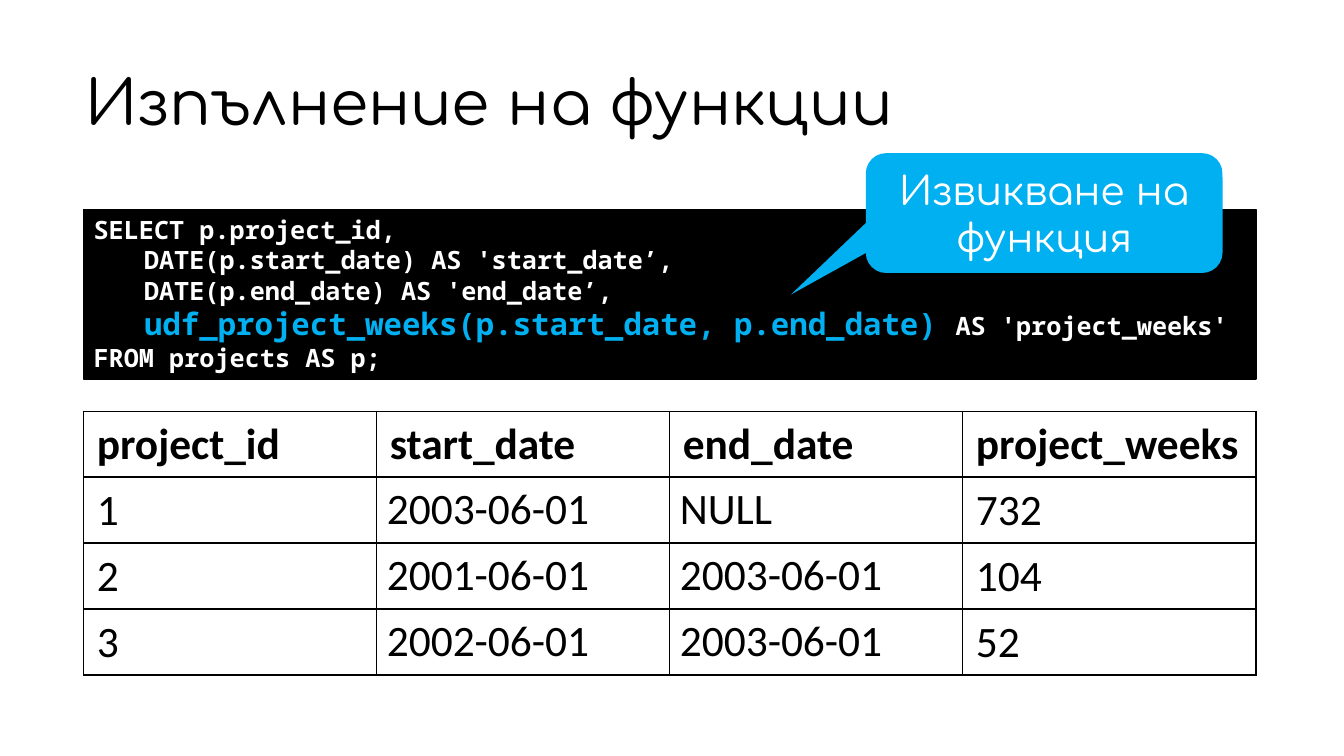
import pptx
import pptx.dml.color
import pptx.enum.shapes
import pptx.enum.text
import pptx.oxml
import pptx.oxml.ns
import pptx.util

Cm = pptx.util.Cm
Pt = pptx.util.Pt
ALIGN = pptx.enum.text.PP_ALIGN
ANCHOR = pptx.enum.text.MSO_ANCHOR
SHAPE = pptx.enum.shapes.MSO_SHAPE

COLORS = {"black": "000000", "white": "FFFFFF", "accent": "00B0F0"}
HEADING_FONT, CODE_FONT, TABLE_FONT = "Comfortaa", "Noto Sans Mono", "Calibri"
LEFT, WIDTH = 2.11, 29.54

CODE = [
    [("SELECT p.project_id,", {})],
    [("\tDATE(p.start_date) AS 'start_date’,", {})],
    [("\tDATE(p.end_date) AS 'end_date’,", {})],
    [("\tudf_project_weeks(p.start_date, p.end_date) ", {"size": 22, "color": "accent"}),
     ("AS 'project_weeks'", {})],
    [("FROM projects AS p;", {})],
]
ROWS = [
    ["project_id", "start_date", "end_date", "project_weeks"],
    ["1", "2003-06-01", "NULL", "732"],
    ["2", "2001-06-01", "2003-06-01", "104"],
    ["3", "2002-06-01", "2003-06-01", "52"],
]


def rgb(name):
    return pptx.dml.color.RGBColor.from_string(COLORS[name])


def add_text(p, text, font, size, color="black", bold=False, align=ALIGN.LEFT):
    p.alignment = align
    r = p.add_run()
    r.text = text
    r.font.name, r.font.size, r.font.bold = font, Pt(size), bold
    r.font.color.rgb = rgb(color)


def add_box(slide, kind, box, color):
    sp = slide.shapes.add_shape(kind, *map(Cm, box))
    sp.shadow.inherit = False
    sp.fill.solid()
    sp.fill.fore_color.rgb = rgb(color)
    sp.text_frame.word_wrap = True
    return sp


def add_title(slide, box):
    title = slide.shapes.title
    title.left, title.top, title.width, title.height = map(Cm, box)
    tf = title.text_frame
    tf.vertical_anchor = ANCHOR.MIDDLE
    p = tf.paragraphs[0]
    p.line_spacing = 0.9
    add_text(p, "Изпълнение на функции", HEADING_FONT, 44)


def add_tab_stop(p, position):
    tabs = pptx.oxml.parse_xml(
        f'<a:tabLst {pptx.oxml.ns.nsdecls("a")}><a:tab pos="{position}" algn="l"/></a:tabLst>')
    p._p.get_or_add_pPr().append(tabs)


def add_code(slide, box):
    sp = add_box(slide, SHAPE.RECTANGLE, box, "black")
    sp.line.color.rgb = rgb("black")
    sp.line.width = Pt(1)
    tf = sp.text_frame
    tf.vertical_anchor = ANCHOR.TOP
    tf.auto_size = pptx.enum.text.MSO_AUTO_SIZE.SHAPE_TO_FIT_TEXT
    for i, parts in enumerate(CODE):
        p = tf.add_paragraph() if i else tf.paragraphs[0]
        add_tab_stop(p, Cm(1.27))
        for text, extra in parts:
            add_text(p, text, CODE_FONT, **{"size": 18, "color": "white", "bold": True, **extra})


def add_borders(cell):
    tcPr = cell._tc.get_or_add_tcPr()
    for i, side in enumerate("LRTB"):
        tcPr.insert(i, pptx.oxml.parse_xml(
            f'<a:ln{side} {pptx.oxml.ns.nsdecls("a")} w="{Pt(1)}"><a:solidFill>'
            f'<a:srgbClr val="{COLORS["black"]}"/></a:solidFill></a:ln{side}>'))


def add_result(slide, box):
    left, top, width, height = box
    table = slide.shapes.add_table(len(ROWS), len(ROWS[0]), *map(Cm, box)).table
    table.first_row = table.horz_banding = False
    for column in table.columns:
        column.width = Cm(width / len(ROWS[0]))
    for i, values in enumerate(ROWS):
        table.rows[i].height = Cm(height / len(ROWS))
        for j, value in enumerate(values):
            cell = table.cell(i, j)
            cell.fill.background()
            add_borders(cell)
            if i and j in (1, 2):
                cell.vertical_anchor = ANCHOR.MIDDLE
            else:
                cell.margin_left = cell.margin_right = Cm(0.33)
                cell.margin_top = cell.margin_bottom = Cm(0.17)
            add_text(cell.text_frame.paragraphs[0], value, TABLE_FONT, 31, bold=i == 0)


def add_callout(slide, box):
    sp = add_box(slide, SHAPE.ROUNDED_RECTANGULAR_CALLOUT, box, "accent")
    sp.line.fill.background()
    for i, value in enumerate((-0.71, 0.68, 0.17)):
        sp.adjustments[i] = value
    tf = sp.text_frame
    tf.vertical_anchor = ANCHOR.MIDDLE
    add_text(tf.paragraphs[0], "Извикване на функция", HEADING_FONT, 28, "white",
             align=ALIGN.CENTER)


def main():
    prs = pptx.Presentation()
    prs.slide_width, prs.slide_height = Cm(33.87), Cm(19.05)
    slide = prs.slides.add_slide(prs.slide_layouts.get_by_name("Title Only"))
    add_title(slide, (1.9, 0.81, 29.21, 3.68))
    add_code(slide, (LEFT, 5.28, WIDTH, 4.27))
    add_result(slide, (LEFT, 10.36, WIDTH, 6.65))
    add_callout(slide, (21.82, 3.86, 8.99, 3.02))
    prs.save("out.pptx")


if __name__ == "__main__":
    main()
